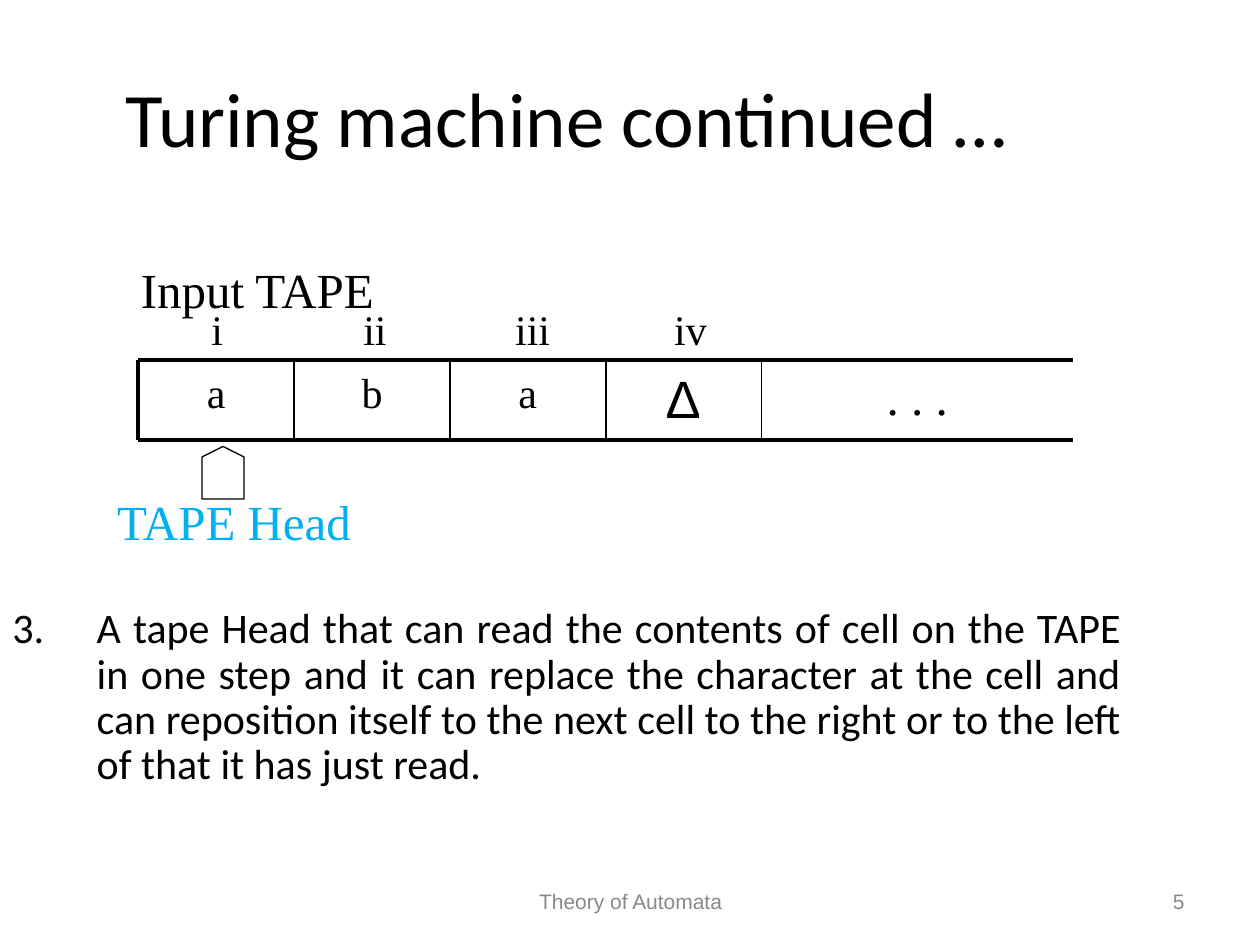
from dataclasses import dataclass

import lxml.etree
import pptx
import pptx.dml.color
import pptx.enum.shapes
import pptx.enum.text
import pptx.oxml.ns
import pptx.util

Cm = pptx.util.Cm
Pt = pptx.util.Pt
ALIGN = pptx.enum.text.PP_ALIGN
ANCHOR = pptx.enum.text.MSO_ANCHOR
qn = pptx.oxml.ns.qn

COLORS = {"ink": "000000", "head": "00B0F0", "footer": "898989"}
SERIF = "Times New Roman"

TAPE_LEFT, TAPE_TOP, TAPE_HEIGHT = 2.79, 7.26, 1.61
CELL_WIDTH, CELL_COUNT = 3.14, 6
INDEX_TOP, INDEX_WIDTH, INDEX_HEIGHT = 5.99, 3.18, 1.45


@dataclass
class Label:
    text: str
    left: float
    top: float
    width: float
    height: float
    size: float = 24
    font: str = SERIF
    color: str = "ink"
    align: ALIGN = ALIGN.CENTER
    anchor: ANCHOR = ANCHOR.TOP


@dataclass
class Rule:
    x1: float
    y1: float
    x2: float
    y2: float
    weight: float


def rgb(name: str) -> pptx.dml.color.RGBColor:
    return pptx.dml.color.RGBColor.from_string(COLORS[name])


def write_label(sp, label: Label):
    sp.left, sp.top = Cm(label.left), Cm(label.top)
    sp.width, sp.height = Cm(label.width), Cm(label.height)
    tf = sp.text_frame
    tf.word_wrap = True
    tf.auto_size = pptx.enum.text.MSO_AUTO_SIZE.NONE
    tf.vertical_anchor = label.anchor
    p = tf.paragraphs[0]
    p.alignment = label.align
    r = p.add_run()
    r.text = label.text
    r.font.size = Pt(label.size)
    r.font.name = label.font
    r.font.color.rgb = rgb(label.color)
    return p


def add_label(s, label: Label):
    return write_label(s.shapes.add_textbox(0, 0, 0, 0), label)


def add_rule(s, rule: Rule) -> None:
    line = s.shapes.add_connector(
        pptx.enum.shapes.MSO_CONNECTOR.STRAIGHT,
        Cm(rule.x1), Cm(rule.y1), Cm(rule.x2), Cm(rule.y2))
    line.line.color.rgb = rgb("ink")
    line.line.width = Pt(rule.weight)
    lxml.etree.SubElement(line._element.spPr, qn("a:effectLst"))


def number_paragraph(p, start: int, indent: float) -> None:
    p.line_spacing = 0.9
    p.space_before = Pt(6)
    pPr = p._p.get_or_add_pPr()
    pPr.set("marL", str(Cm(indent)))
    pPr.set("indent", str(-Cm(indent)))
    lxml.etree.SubElement(pPr, qn("a:buFont"), typeface="+mj-lt")
    lxml.etree.SubElement(pPr, qn("a:buAutoNum"), type="arabicPeriod", startAt=str(start))


def add_tape(s) -> None:
    right = TAPE_LEFT + CELL_COUNT * CELL_WIDTH
    bottom = TAPE_TOP + TAPE_HEIGHT
    cells = [("a", 24, SERIF, 1), ("b", 24, SERIF, 1), ("a", 24, SERIF, 1),
             ("∆", 30, "Arial", 1), (". . .", 28, SERIF, 2)]
    for i, (text, size, font, span) in enumerate(cells):
        x = TAPE_LEFT + i * CELL_WIDTH
        add_label(s, Label(text, x, TAPE_TOP, span * CELL_WIDTH, TAPE_HEIGHT, size, font))
        add_rule(s, Rule(x, TAPE_TOP, x, bottom, 1 if i else 2.25))
    for y in (TAPE_TOP, bottom):
        add_rule(s, Rule(TAPE_LEFT, y, right, y, 2.25))
    for i, text in enumerate(("i", "ii", "iii", "iv")):
        add_label(s, Label(text, TAPE_LEFT + i * INDEX_WIDTH, INDEX_TOP,
                           INDEX_WIDTH, INDEX_HEIGHT))


def add_head(s) -> None:
    sp = s.shapes.add_shape(
        pptx.enum.shapes.MSO_SHAPE.FLOWCHART_OFFPAGE_CONNECTOR,
        Cm(4.07), Cm(9), Cm(0.85), Cm(1.06))
    sp.rotation = 180
    sp.shadow.inherit = False
    sp.fill.background()
    sp.line.color.rgb = rgb("ink")
    sp.line.width = Pt(0.75)


def main() -> None:
    prs = pptx.Presentation()
    prs.slide_width, prs.slide_height = Cm(25.4), Cm(19.05)
    s = prs.slides.add_slide(prs.slide_layouts[5])

    write_label(s.shapes.title, Label("Turing machine continued …", 0, 0.76, 22.86, 3.18,
                                      44, "Calibri", anchor=ANCHOR.MIDDLE))
    p = add_label(s, Label(
        "A tape Head that can read the contents of cell on the TAPE in one step "
        "and it can replace the character at the cell and can reposition itself "
        "to the next cell to the right or to the left of that it has just read.",
        0, 12.12, 22.86, 4.57, 24, "Calibri", align=ALIGN.JUSTIFY))
    number_paragraph(p, 3, 1.7)

    add_tape(s)
    add_head(s)
    for label in (
        Label("TAPE Head", 2.11, 9.78, 5.92, 1.45, 28, color="head", align=ALIGN.LEFT),
        Label("Input TAPE", 2.59, 5.11, 5.92, 1.45, 28, align=ALIGN.LEFT),
        Label("Theory of Automata", 8.69, 17.65, 8.05, 1.02, 12, "Arial", "footer",
              anchor=ANCHOR.MIDDLE),
        Label("5", 18.21, 17.65, 5.92, 1.02, 12, "Arial", "footer",
              ALIGN.RIGHT, ANCHOR.MIDDLE),
    ):
        add_label(s, label)

    prs.save("out.pptx")


if __name__ == "__main__":
    main()
